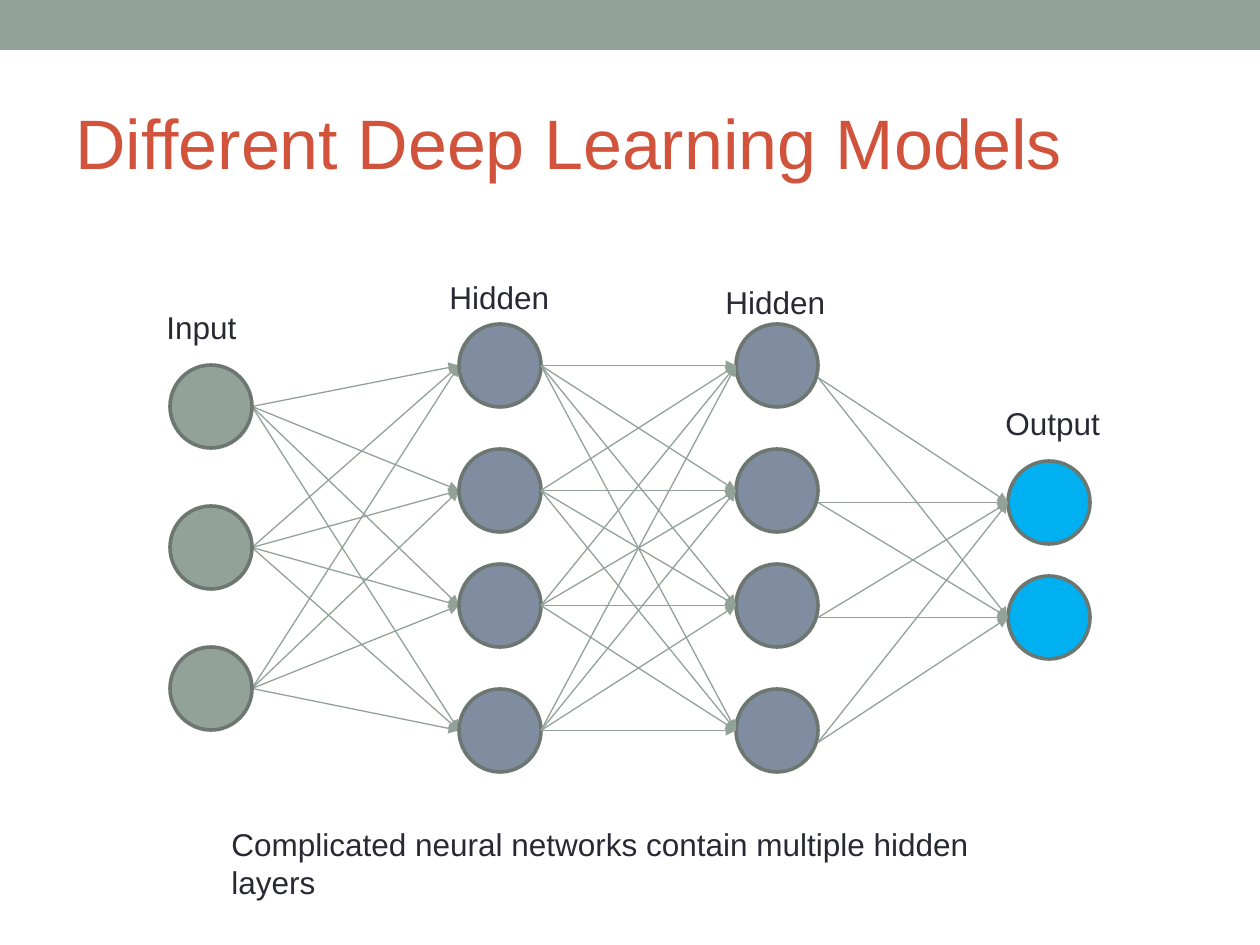
from itertools import product

from lxml import etree
from pptx import Presentation
from pptx.dml.color import RGBColor
from pptx.enum.shapes import MSO_CONNECTOR as CONN, MSO_SHAPE as SHAPE
from pptx.enum.text import MSO_ANCHOR as ANCHOR
from pptx.oxml.ns import qn
from pptx.util import Pt

EMU_PER_PX = 914400 / 126
COLORS = {
    "sage": "93A299", "outline": "6C7771", "title": "D2533C",
    "text": "292934", "slate": "808DA0", "sky": "00B0F0",
}
NODE_W, NODE_H = 82, 83

# Layers, relative to the network box: label, label (x, y, w), node x, node tops, fill
HIDDEN_TOPS = [52, 177, 292, 417]
LAYERS = [
    ("Input", (0, 30, 98), 16, [93, 234, 375], "sage"),
    ("Hidden", (283, 0, 129), 305, HIDDEN_TOPS, "slate"),
    ("Hidden", (559, 5, 129), 582, HIDDEN_TOPS, "slate"),
    ("Output", (839, 126, 125), 854, [189, 304], "sky"),
]


def px(n):
    return round(n * EMU_PER_PX)


def rgb(name):
    return RGBColor.from_string(COLORS[name])


def add_text(s, text, x, y, w, h, size=18, color="text", wrap=True, anchor=ANCHOR.TOP):
    tf = s.shapes.add_textbox(px(x), px(y), px(w), px(h)).text_frame
    tf.word_wrap = wrap
    tf.vertical_anchor = anchor
    p = tf.paragraphs[0]
    p.text = text
    p.font.name = "Arial"
    p.font.size = Pt(size)
    p.font.color.rgb = rgb(color)


def add_filled(s, kind, x, y, w, h, fill):
    sp = s.shapes.add_shape(kind, px(x), px(y), px(w), px(h))
    sp.shadow.inherit = False
    sp.fill.solid()
    sp.fill.fore_color.rgb = rgb(fill)
    sp.line.fill.background()
    return sp


def add_node(s, x, y, fill):
    sp = add_filled(s, SHAPE.OVAL, x, y, NODE_W, NODE_H, fill)
    sp.line.color.rgb = rgb("outline")
    sp.line.width = Pt(2.07)


def add_arrow(s, x1, y1, x2, y2):
    c = s.shapes.add_connector(CONN.STRAIGHT, px(x1), px(y1), px(x2), px(y2))
    c.line.color.rgb = rgb("sage")
    c.line.width = Pt(0.75)
    etree.SubElement(c.line._get_or_add_ln(), qn("a:tailEnd"), type="triangle")
    etree.SubElement(c._element.spPr, qn("a:effectLst"))


def add_links(s, x, y, source, target, drop=0):
    """Join every node of one layer to every node of the next."""
    _, _, x1, tops1, _ = source
    _, _, x2, tops2, _ = target
    mid = y + NODE_H / 2
    for t1, t2 in product(tops1, tops2):
        add_arrow(s, x + x1 + NODE_W, mid + t1 + drop, x + x2, mid + t2)


def add_header(s, x, y, w):
    # Top band and title
    add_filled(s, SHAPE.RECTANGLE, x, y, w, 50, "sage")
    add_text(s, "Different Deep Learning Models", x + 63, y + 73, w - 126, 136,
             size=40, color="title", anchor=ANCHOR.MIDDLE)


def add_network(s, x, y):
    inputs, hidden1, hidden2, outputs = LAYERS
    # Links into the first hidden layer lie behind the nodes
    add_links(s, x, y, inputs, hidden1)
    # Nodes and layer labels
    for label, (lx, ly, lw), nx, tops, fill in LAYERS:
        for top in tops:
            add_node(s, x + nx, y + top, fill)
        add_text(s, label, x + lx, y + ly, lw, 50)
    # Remaining links; those to the output leave a little below the middle
    add_links(s, x, y, hidden1, hidden2)
    add_links(s, x, y, hidden2, outputs, drop=12)


def add_caption(s, x, y, w, h):
    add_text(s, "Complicated neural networks contain multiple hidden layers",
             x, y, w, h, wrap=False)


def main():
    prs = Presentation()
    prs.slide_width, prs.slide_height = px(1260), px(945)
    s = prs.slides.add_slide(prs.slide_layouts[6])
    add_header(s, 0, 0, 1260)
    add_network(s, 154, 272)
    add_caption(s, 219, 819, 853, 50)
    prs.save("out.pptx")


if __name__ == "__main__":
    main()
